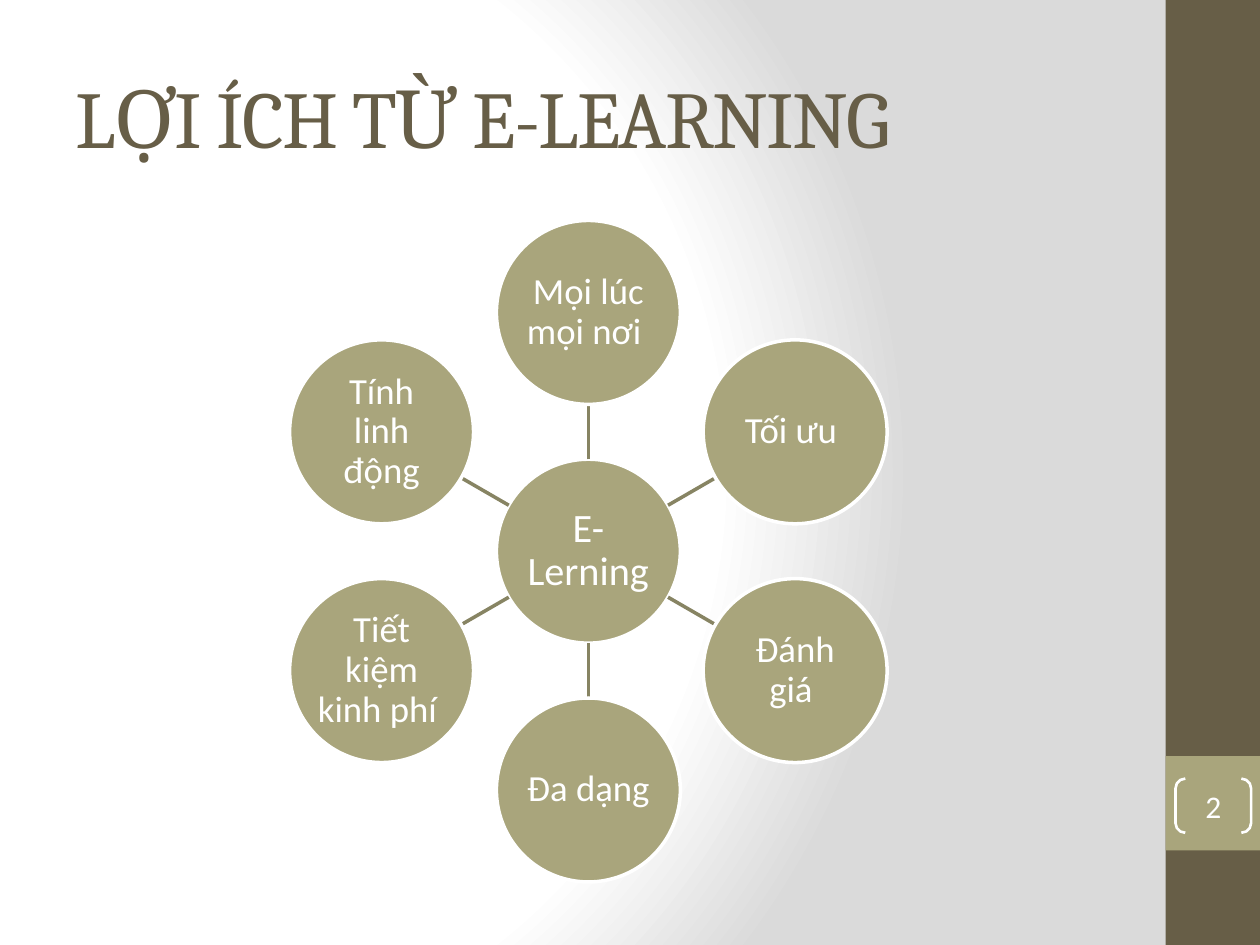
from dataclasses import dataclass
from math import cos, radians, sin

from lxml.etree import SubElement
from pptx import Presentation
from pptx.dml.color import RGBColor
from pptx.enum.shapes import MSO_CONNECTOR, MSO_SHAPE
from pptx.enum.text import MSO_ANCHOR, MSO_AUTO_SIZE, PP_ALIGN
from pptx.oxml.ns import qn
from pptx.util import Inches, Pt


@dataclass(frozen=True)
class Theme:
    dark: str = "675E47"
    sand: str = "A9A57C"
    spoke: str = "878463"
    white: str = "FFFFFF"
    grey: str = "DADADA"
    head: str = "Cambria"
    body: str = "Calibri"
    title: int = 46
    hub: int = 23
    node: int = 21
    page: int = 18


theme = Theme()
TOPICS = ["Mọi lúc mọi nơi ", "Tối ưu ", "Đánh giá ", "Đa dạng ",
          "Tiết kiệm kinh phí ", "Tính linh động"]


def color(code):
    return RGBColor.from_string(code)


def style(frame, size, face, tint, align, inset):
    frame.word_wrap = True
    frame.auto_size = MSO_AUTO_SIZE.NONE
    frame.vertical_anchor = MSO_ANCHOR.MIDDLE
    if inset is not None:
        frame.margin_left = frame.margin_right = Inches(inset)
        frame.margin_top = frame.margin_bottom = Inches(inset)
    for line in frame.paragraphs:
        line.alignment = align
        for run in line.runs:
            run.font.size, run.font.name = Pt(size), face
            run.font.color.rgb = color(tint)


def add_shape(slide, kind, box, fill=None, edge=None, width=2):
    shape = slide.shapes.add_shape(kind, *map(Inches, box))
    shape.shadow.inherit = False
    if fill:
        shape.fill.solid()
        shape.fill.fore_color.rgb = color(fill)
    else:
        shape.fill.background()
    if edge:
        shape.line.color.rgb = color(edge)
        shape.line.width = Pt(width)
    else:
        shape.line.fill.background()
    return shape


def paint_back(slide):
    slide.background.fill.gradient()
    grad = next(slide.element.iter(qn("a:gradFill")))
    for child in list(grad):
        grad.remove(child)
    stops = SubElement(grad, qn("a:gsLst"))
    for place, code in ((0, theme.white), (75, theme.white), (100, theme.grey)):
        stop = SubElement(stops, qn("a:gs"), pos=str(place * 1000))
        SubElement(stop, qn("a:srgbClr"), val=code)
    ring = SubElement(grad, qn("a:path"))
    ring.set("path", "circle")
    SubElement(ring, qn("a:fillToRect"), l="20000", t="50000", r="100000", b="50000")


def add_title(slide, box):
    title = slide.shapes.title
    title.left, title.top, title.width, title.height = map(Inches, box)
    title.text_frame.text = "LỢI ÍCH TỪ E-LEARNING"
    style(title.text_frame, theme.title, theme.head, theme.dark, PP_ALIGN.LEFT, None)
    for run in title.text_frame.paragraphs[0].runs:
        run.font._element.set("spc", "-100")


def add_side(slide, box):
    left, top, width, height = box
    add_shape(slide, MSO_SHAPE.RECTANGLE, box, theme.dark)
    add_shape(slide, MSO_SHAPE.RECTANGLE, (left, top + 6, width, width), theme.sand)
    page = add_shape(slide, MSO_SHAPE.DOUBLE_BRACKET,
                     (left + 0.08, top + 6.18, 0.6, 0.43), None, theme.white, 1.5)
    page.adjustments[0] = 0.18
    page.text_frame.text = "2"
    style(page.text_frame, theme.page, theme.body, theme.white, PP_ALIGN.CENTER, 0)


def add_disc(slide, mid, size, text, points):
    x, y = mid
    disc = add_shape(slide, MSO_SHAPE.OVAL, (x - size / 2, y - size / 2, size, size),
                     theme.sand, theme.white)
    disc.text_frame.text = text
    style(disc.text_frame, points, theme.body, theme.white, PP_ALIGN.CENTER, 0.01)
    disc.text_frame.paragraphs[0].line_spacing = 0.9


def add_spoke(slide, start, end):
    spoke = slide.shapes.add_connector(MSO_CONNECTOR.STRAIGHT,
                                       *map(Inches, (*start, *end)))
    spoke.line.color.rgb = color(theme.spoke)
    spoke.line.width = Pt(2)
    SubElement(spoke._element.spPr, qn("a:effectLst"))


def add_wheel(slide, box):
    left, top, width, height = box
    size = 1.46
    reach = (height - size) / 2
    mid = left + width / 2, top + height / 2

    def polar(angle, far):
        return mid[0] + far * cos(angle), mid[1] + far * sin(angle)

    add_disc(slide, mid, size, "E-Lerning ", theme.hub)
    for index, topic in enumerate(TOPICS):
        angle = radians(index * 360 / len(TOPICS) - 90)
        add_spoke(slide, polar(angle, size / 2), polar(angle, reach - size / 2))
        add_disc(slide, polar(angle, reach), size, topic, theme.node)


def main():
    deck = Presentation()
    deck.slide_width, deck.slide_height = Inches(10), Inches(7.5)
    slide = deck.slides.add_slide(deck.slide_layouts[5])
    paint_back(slide)
    add_side(slide, (9.25, 0, 0.75, 7.5))
    add_title(slide, (0.5, 0.3, 8.33, 1.25))
    add_wheel(slide, (2.3, 1.75, 4.74, 5.25))
    deck.save("out.pptx")


if __name__ == "__main__":
    main()
